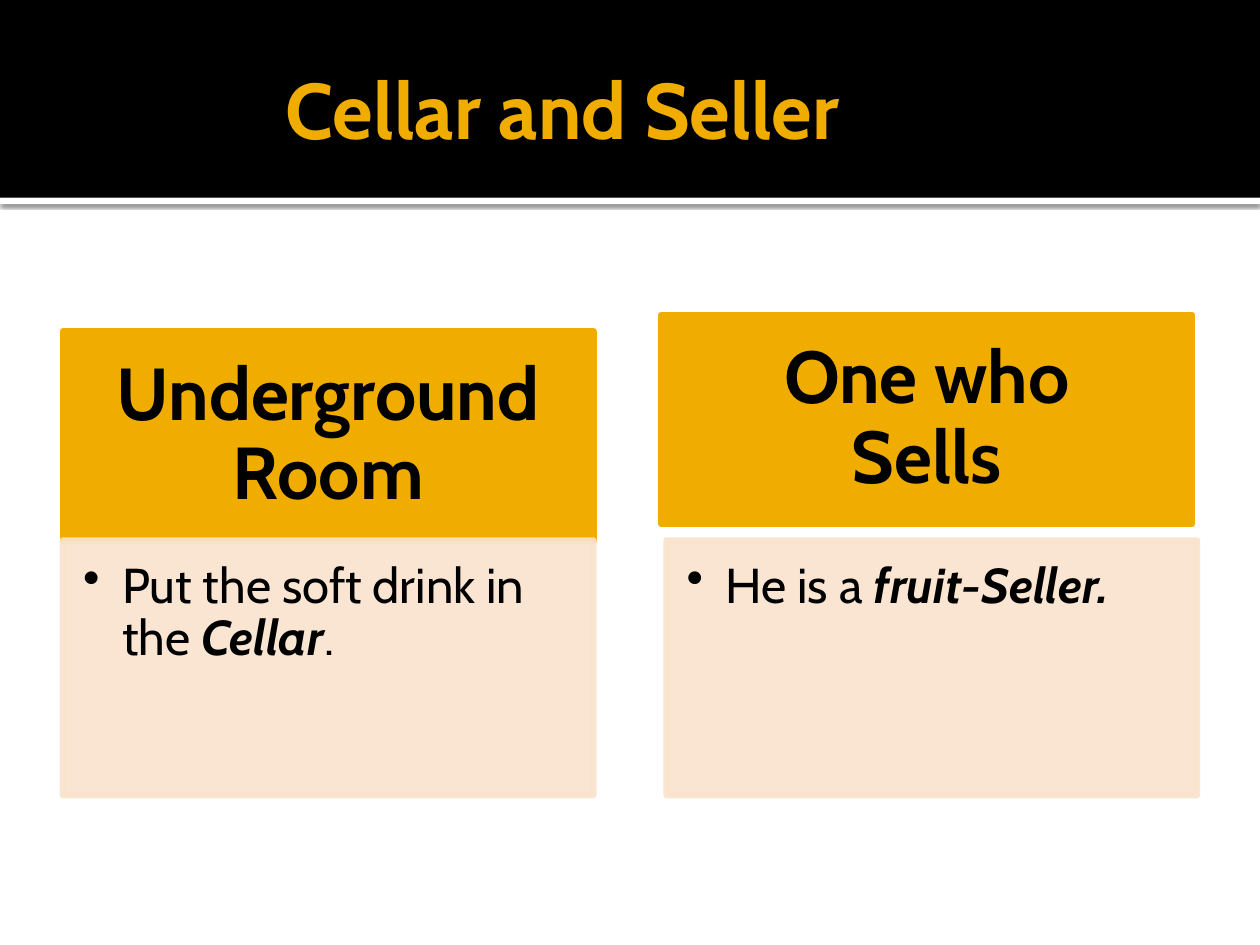
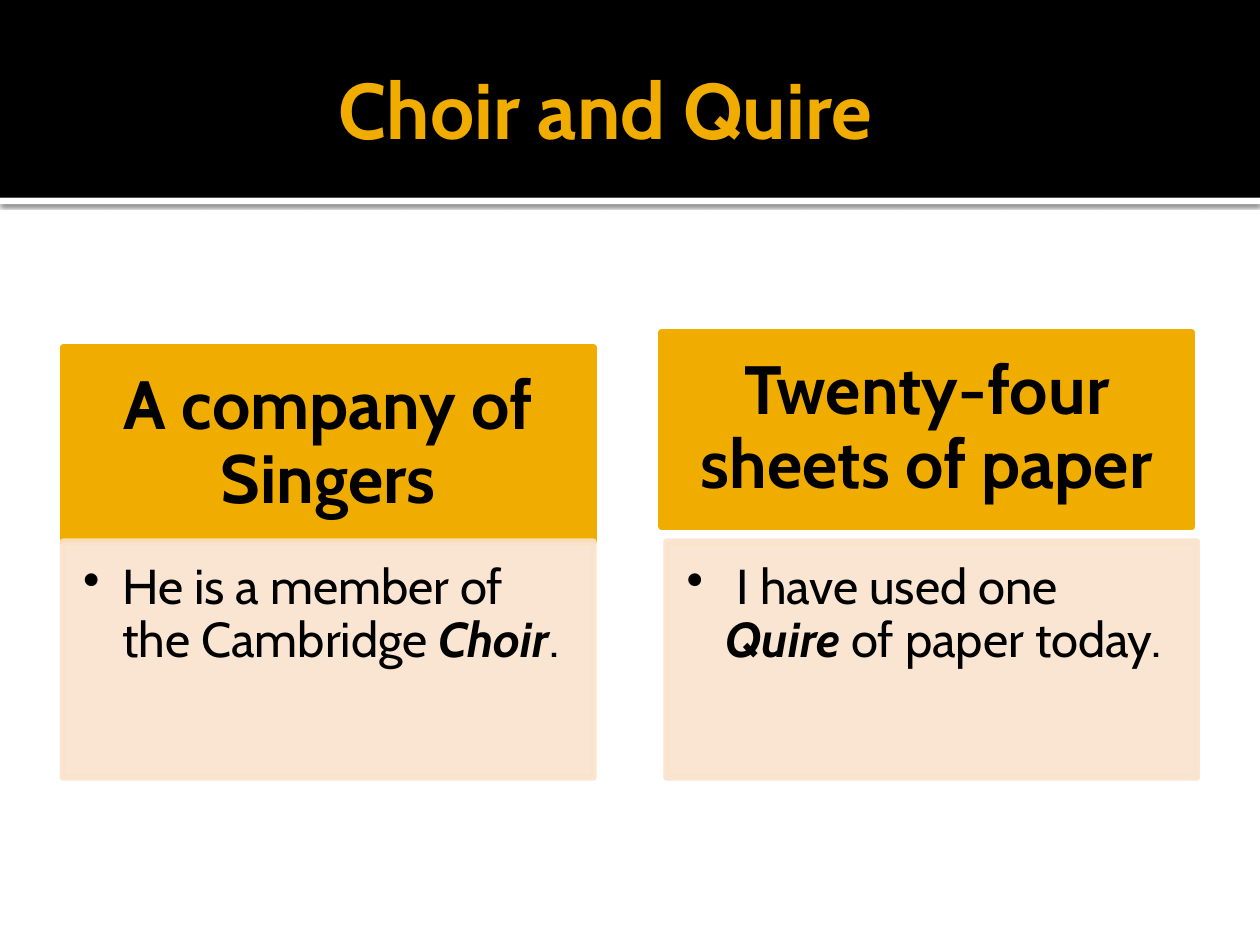
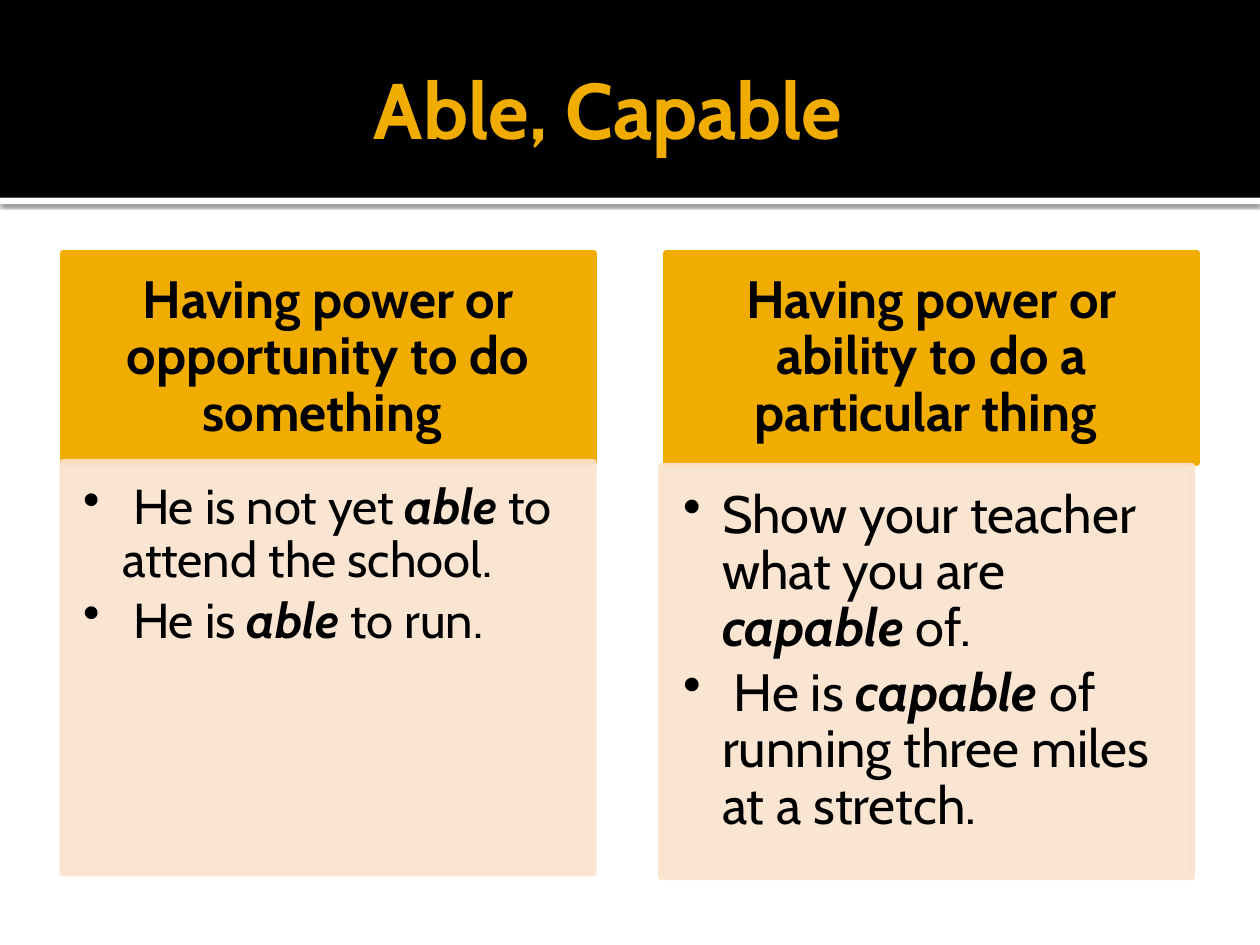
from dataclasses import dataclass

from lxml import etree
from pptx import Presentation
from pptx import util as u
from pptx.dml import color
from pptx.enum import shapes, text
from pptx.oxml import ns


@dataclass(frozen=True)
class Theme:
    font: str = "Cabin"
    white: str = "FFFFFF"
    black: str = "000000"
    gold: str = "F0AD00"
    cream: str = "F9E3CC"
    title_size: int = 45
    border: float = 3.78
    cream_alpha: int = 90


@dataclass(frozen=True)
class Card:
    left: float
    top: float
    height: float
    size: int


THEME = Theme()
WIDTH, HEIGHT = 10, 7.5
BAND_HEIGHT = 1.57
CARD_WIDTH = 4.21
OUTER_LEFT, OUTER_RIGHT, INNER_RIGHT = 0.5, 5.29, 5.25

SLIDES = [
    ("Cellar and Seller", 1.67, [
        (Card(OUTER_LEFT, 2.63, 1.66, 42), "Underground Room",
         Card(OUTER_LEFT, 4.29, 2.02, 28),
         [[("Put the soft drink in the", False), (" Cellar", True), (".", False)]]),
        (Card(INNER_RIGHT, 2.5, 1.66, 42), "One who Sells",
         Card(OUTER_RIGHT, 4.29, 2.02, 28),
         [[("He is a ", False), ("fruit-Seller.", True)]]),
    ]),
    ("Choir and Quire", 2.09, [
        (Card(OUTER_LEFT, 2.76, 1.54, 39), "A company of Singers",
         Card(OUTER_LEFT, 4.3, 1.87, 28),
         [[("He is a member of the Cambridge ", False), ("Choir", True), (".", False)]]),
        (Card(INNER_RIGHT, 2.64, 1.54, 39), "Twenty-four sheets of paper",
         Card(OUTER_RIGHT, 4.3, 1.87, 28),
         [[(" ", True), ("I have used one ", False), ("Quire", True),
           (" of paper today. ", False)]]),
    ]),
    ("Able, Capable", 2.37, [
        (Card(OUTER_LEFT, 2.01, 1.66, 30), "Having power or opportunity to do something ",
         Card(OUTER_LEFT, 3.67, 3.26, 28),
         [[(" He is not yet", False), (" able ", True), ("to attend the school.", False)],
          [(" He is", False), (" able ", True), ("to run.", False)]]),
        (Card(OUTER_RIGHT, 2.01, 1.66, 30), "Having power or ability to do a particular thing ",
         Card(INNER_RIGHT, 3.7, 3.26, 30),
         [[("Show your teacher what you are ", False), ("capable", True), (" of.", False)],
          [(" He is ", False), ("capable", True),
           (" of running three miles at a stretch.", False)]]),
    ]),
]


def rgb(value):
    return color.RGBColor.from_string(value)


def inches(*lengths):
    return [u.Inches(length) for length in lengths]


def add_child(parent, tag, **attributes):
    child = etree.SubElement(parent, ns.qn(tag))
    for name, value in attributes.items():
        child.set(name, str(value))
    return child


def add_rectangle(page, left, top, width, height, fill, border=0):
    box = page.shapes.add_shape(shapes.MSO_SHAPE.RECTANGLE,
                                *inches(left, top, width, height))
    box.shadow.inherit = False
    box.fill.solid()
    box.fill.fore_color.rgb = rgb(fill)
    if border:
        box.line.color.rgb = rgb(fill)
        box.line.width = u.Pt(border)
    else:
        box.line.fill.background()
    return box


def set_alpha(box, percent):
    for tint in box._element.spPr.iter(ns.qn("a:srgbClr")):
        add_child(tint, "a:alpha", val=percent * 1000)


def add_shadow(box):
    effects = box._element.spPr.find(ns.qn("a:effectLst"))
    shadow = add_child(effects, "a:outerShdw", blurRad=u.Pt(2.5), dist=u.Pt(0.8),
                       dir=5400000, algn="tl", rotWithShape=0)
    tint = add_child(shadow, "a:srgbClr", val=THEME.black)
    add_child(tint, "a:alpha", val=60000)


def set_frame(box, anchor, left, top, right, bottom):
    frame = box.text_frame
    frame.word_wrap = True
    frame.vertical_anchor = anchor
    (frame.margin_left, frame.margin_top,
     frame.margin_right, frame.margin_bottom) = inches(left, top, right, bottom)
    return frame


def set_indent(para, left, first):
    properties = para._p.get_or_add_pPr()
    properties.set("marL", str(u.Inches(left)))
    properties.set("indent", str(u.Inches(first)))
    return properties


def add_span(para, words, size, tint, bold=False, italic=False):
    span = para.add_run()
    span.text = words
    span.font.name = THEME.font
    span.font.size = u.Pt(size)
    span.font.color.rgb = rgb(tint)
    span.font.bold = bold
    span.font.italic = italic


def set_spacing(para, size, after):
    para.line_spacing = 0.9
    para.space_before = u.Pt(0)
    para.space_after = u.Pt(size * after)


def add_title(page, words, indent):
    add_shadow(add_rectangle(page, 0, BAND_HEIGHT, WIDTH, 0.05, THEME.white))
    add_rectangle(page, 0, 0, WIDTH, BAND_HEIGHT, THEME.black)
    box = page.shapes.add_textbox(*inches(0.5, 0.17, 9, 1.37))
    frame = set_frame(box, text.MSO_ANCHOR.MIDDLE, 0.1, 0.05, 0.05, 0.05)
    para = frame.paragraphs[0]
    set_indent(para, indent, 0)
    add_span(para, words, THEME.title_size, THEME.gold, bold=True)


def add_heading(page, card, words):
    box = add_rectangle(page, card.left, card.top, CARD_WIDTH, card.height,
                        THEME.gold, THEME.border)
    side, edge = card.size / 128, card.size / 225
    frame = set_frame(box, text.MSO_ANCHOR.MIDDLE, side, edge, side, edge)
    para = frame.paragraphs[0]
    para.alignment = text.PP_ALIGN.CENTER
    set_spacing(para, card.size, 0.35)
    add_span(para, words, card.size, THEME.black, bold=True)


def add_examples(page, card, examples):
    box = add_rectangle(page, card.left, card.top, CARD_WIDTH, card.height,
                        THEME.cream, THEME.border)
    set_alpha(box, THEME.cream_alpha)
    near = card.size / 175
    frame = set_frame(box, text.MSO_ANCHOR.TOP, near, near,
                      card.size / 128, card.size / 117)
    for index, spans in enumerate(examples):
        para = frame.add_paragraph() if index else frame.paragraphs[0]
        para.level = 1
        para.alignment = text.PP_ALIGN.LEFT
        set_spacing(para, card.size, 0.15)
        add_child(set_indent(para, 0.31, -0.31), "a:buChar", char="•")
        for words, strong in spans:
            add_span(para, words, card.size, THEME.black, strong, strong)


def main():
    deck = Presentation()
    deck.slide_width, deck.slide_height = inches(WIDTH, HEIGHT)
    for title, indent, columns in SLIDES:
        page = deck.slides.add_slide(deck.slide_layouts[6])
        page.background.fill.solid()
        page.background.fill.fore_color.rgb = rgb(THEME.white)
        add_title(page, title, indent)
        for heading_card, heading, example_card, examples in columns:
            add_heading(page, heading_card, heading)
            add_examples(page, example_card, examples)
    deck.save("out.pptx")


main()
